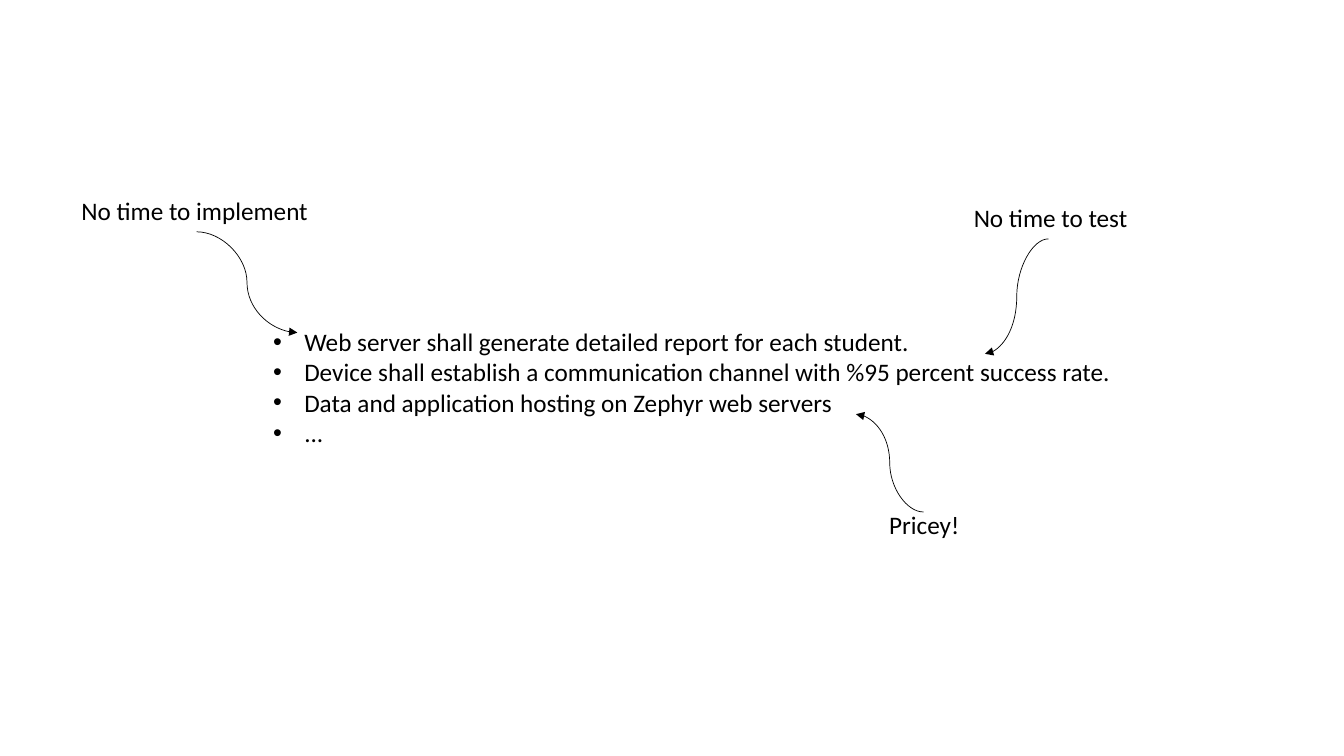
from lxml import etree
from pptx import Presentation
from pptx.dml.color import RGBColor
from pptx.enum.shapes import MSO_CONNECTOR as CONN
from pptx.oxml.ns import qn
from pptx.util import Inches, Pt

COLORS = {"ink": "000000"}
FONT = "Calibri"

REQUIREMENTS = [
    "Web server shall generate detailed report for each student.",
    "Device shall establish a communication channel with %95 percent success rate.",
    "Data and application hosting on Zephyr web servers",
    "...",
]
NOTES = [
    ("No time to implement", (0.71, 1.89), (1.95, 2.3), (2.95, 3.3)),
    ("No time to test", (9.56, 1.96), (10.4, 2.37), (9.77, 3.51)),
    ("Pricey!", (8.72, 5), (9.16, 5.08), (8.49, 4.11)),
]


def add_text(s, box, lines):
    tf = s.shapes.add_textbox(*map(Inches, box)).text_frame
    tf.word_wrap = True
    tf.text = "\n".join(lines)
    for p in tf.paragraphs:
        for r in p.runs:
            r.font.name = FONT
            r.font.size = Pt(18)
            r.font.color.rgb = RGBColor.from_string(COLORS["ink"])
    return tf


def add_requirements(s, box):
    indent = Inches(0.31)
    for p in add_text(s, box, REQUIREMENTS).paragraphs:
        pPr = p._p.get_or_add_pPr()
        pPr.set("marL", str(indent))
        pPr.set("indent", str(-indent))
        etree.SubElement(pPr, qn("a:buFont"), typeface="Arial")
        etree.SubElement(pPr, qn("a:buChar"), char="•")


def add_curved_arrow(s, start, end):
    c = s.shapes.add_connector(CONN.CURVE, *map(Inches, start + end))
    c.line.color.rgb = RGBColor.from_string(COLORS["ink"])
    c.line.width = Pt(0.5)
    etree.SubElement(c.line._get_or_add_ln(), qn("a:tailEnd"), type="triangle")
    etree.SubElement(c._element.spPr, qn("a:effectLst"))


def add_note(s, text, corner, start, end):
    add_text(s, corner + (3, 0.4), [text])
    add_curved_arrow(s, start, end)


def main():
    prs = Presentation()
    prs.slide_width, prs.slide_height = Inches(13.33), Inches(7.5)
    s = prs.slides.add_slide(prs.slide_layouts[6])
    add_requirements(s, (2.61, 3.19, 10.8, 1.92))
    for note in NOTES:
        add_note(s, *note)
    prs.save("out.pptx")


if __name__ == "__main__":
    main()
